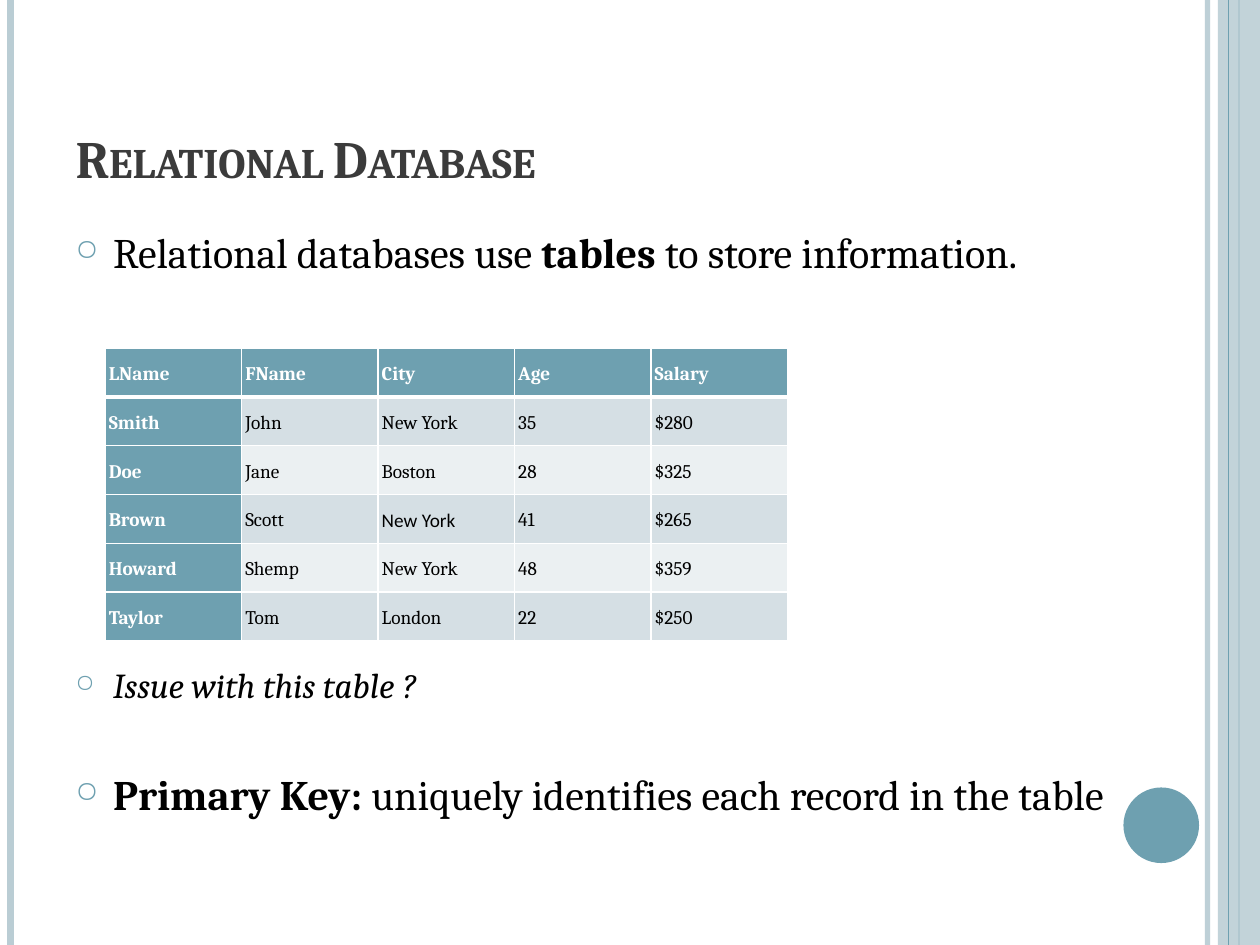
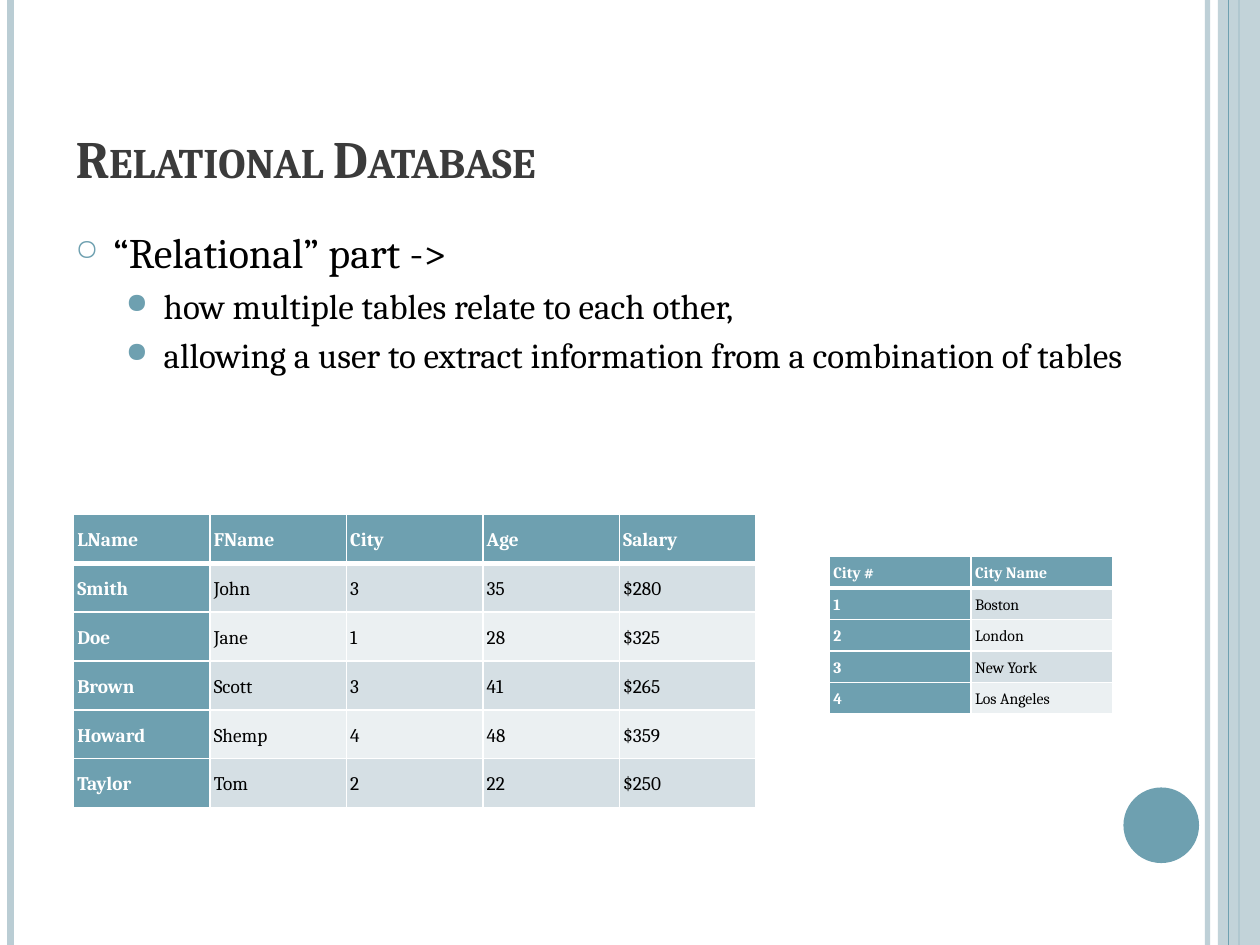
"""Builds two slides that introduce relational databases."""
from lxml import etree
from pptx import Presentation
from pptx import util as u
from pptx.dml import color
from pptx.enum import shapes, text
from pptx.oxml import ns

TEAL, PALE, DARK = "6EA0B0", "BACDD4", "3B3B3B"
WHITE, BLACK = "FFFFFF", "000000"
rgb = color.RGBColor.from_string


def write(par, words, size=24, hue=BLACK, bold=False, slant=False, face="Cambria", caps=None):
    """Add one formatted run to a paragraph."""
    run = par.add_run()
    run.text = words
    font = run.font
    font.name, font.size, font.bold, font.italic = face, u.Pt(size), bold, slant
    font.color.rgb = rgb(hue)
    if caps:
        run._r.get_or_add_rPr().set("cap", caps)


def sub(node, tag, **attrs):
    """Add an XML child with attributes."""
    child = etree.SubElement(node, ns.qn(tag))
    for key, value in attrs.items():
        child.set(key, str(value))
    return child


deck = Presentation()
deck.slide_width, deck.slide_height = u.Inches(10), u.Inches(7.5)
COL = deck.slide_width / 120
ROW = deck.slide_height / 90

# kind (None for a line), left, top, width, height, hue, line width, opacity
BANDS = [
    (None, 115, 0, 0, 90, PALE, 3, 93),
    (None, 1, 0, 0, 90, PALE, 4.5, 100),
    (None, 118, 0, 0, 90, TEAL, 1.5, 100),
    (shapes.MSO_SHAPE.RECTANGLE, 116, 0, 4, 90, PALE, 0, 87),
    (None, 117, 0, 0, 90, TEAL, 0.75, 100),
    (shapes.MSO_SHAPE.OVAL, 107, 75, 7.2, 7.2, TEAL, 0, 100),
]

# per level: left margin, bullet, bullet size
LEVELS = [(0.3, "○", 70), (0.7, "●", 80)]

STAFF = [
    ["LName", "FName", "City", "Age", "Salary"],
    ["Smith", "John", "New York", "35", "$280"],
    ["Doe", "Jane", "Boston", "28", "$325"],
    ["Brown", "Scott", "New York", "41", "$265"],
    ["Howard", "Shemp", "New York", "48", "$359"],
    ["Taylor", "Tom", "London", "22", "$250"],
]
KEYS = ["City", "3", "1", "3", "4", "2"]
KEYED = [row[:2] + [key] + row[3:] for row, key in zip(STAFF, KEYS)]
CITIES = [["City #", "City Name"], ["1", "Boston"], ["2", "London"],
          ["3", "New York"], ["4", "Los Angeles"]]

# points: level, size, space before, italic, [(words, bold)]
# grids: data, left, top, column width, row height, text size
PAGES = [
    {"wide": 107,
     "points": [
         (0, 24, 0, False, [("Relational databases use ", False), ("tables", True),
                            (" to store information.", False)]),
         (0, 20, 220.8, True, [("Issue with this table ?", False)]),
         (0, 24, 36, False, [("Primary Key: ", True),
                             ("uniquely identifies each record in the table", False)])],
     "grids": [(STAFF, 10, 33.15, 13, 4.65, 11)]},
    {"wide": 110,
     "points": [
         (0, 24, 0, False, [("“Relational” part ->", False)]),
         (1, 20, 4, False, [("how multiple tables relate to each other,", False)]),
         (1, 20, 4, False, [("allowing a user to extract information from "
                             "a combination of tables", False)])],
     "grids": [(KEYED, 7, 49, 13, 4.65, 11), (CITIES, 79, 53, 13.5, 3, 9)]},
]

for page in PAGES:
    slide = deck.slides.add_slide(deck.slide_layouts[5])

    for kind, left, top, wide, high, hue, thick, solid in BANDS:
        x, y, w, h = (int(v) for v in (left * COL, top * ROW, wide * COL, high * ROW))
        if kind is None:
            band = slide.shapes.add_connector(shapes.MSO_CONNECTOR.STRAIGHT, x, y, x + w, y + h)
            band.line.width = u.Pt(thick)
            band.line.color.rgb = rgb(hue)
            sub(band._element.spPr, "a:effectLst")
        else:
            band = slide.shapes.add_shape(kind, x, y, w, h)
            band.shadow.inherit = False
            band.fill.solid()
            band.fill.fore_color.rgb = rgb(hue)
            band.line.fill.background()
        if solid < 100:
            sub(band._element.xpath("./p:spPr//a:srgbClr")[0], "a:alpha", val=solid * 1000)

    title = slide.shapes.title
    title.left, title.top = int(6 * COL), int(3.6 * ROW)
    title.width, title.height = int(98 * COL), int(15 * ROW)
    title.text_frame.vertical_anchor = text.MSO_ANCHOR.BOTTOM
    head = title.text_frame.paragraphs[0]
    head.alignment = text.PP_ALIGN.LEFT
    write(head, "Relational Database", size=30, hue=DARK, bold=True, caps="small")

    body = slide.shapes.add_textbox(int(6 * COL), int(21 * ROW),
                                    int(page["wide"] * COL), int(64 * ROW)).text_frame
    body.word_wrap = True
    for i, (level, size, gap, slant, runs) in enumerate(page["points"]):
        par = body.add_paragraph() if i else body.paragraphs[0]
        margin, mark, scale = LEVELS[level]
        par.level = level
        par.space_before = u.Pt(gap)
        props = par._p.get_or_add_pPr()
        props.set("marL", str(u.Inches(margin)))
        props.set("indent", str(u.Inches(-0.3)))
        sub(sub(props, "a:buClr"), "a:srgbClr", val=TEAL)
        sub(props, "a:buSzPct", val=scale * 1000)
        sub(props, "a:buChar", char=mark)
        for words, bold in runs:
            write(par, words, size=size, bold=bold, slant=slant)

    for data, left, top, wide, high, size in page["grids"]:
        rows, cols = len(data), len(data[0])
        grid = slide.shapes.add_table(rows, cols, int(left * COL), int(top * ROW),
                                      int(cols * wide * COL), int(rows * high * ROW)).table
        grid.first_col = True
        for col in grid.columns:
            col.width = int(wide * COL)
        for r, line in enumerate(data):
            grid.rows[r].height = int(high * ROW)
            for c, value in enumerate(line):
                cell = grid.cell(r, c)
                key = r == 0 or c == 0
                cell.margin_left = cell.margin_right = u.Inches(0.03)
                cell.margin_top = cell.margin_bottom = u.Inches(0.03)
                cell.vertical_anchor = text.MSO_ANCHOR.MIDDLE
                for side in "LRTB":
                    thick = 3 if (r, side) in ((0, "B"), (1, "T")) else 1
                    edge = sub(cell._tc.get_or_add_tcPr(), "a:ln" + side, w=u.Pt(thick))
                    sub(sub(edge, "a:solidFill"), "a:srgbClr", val=WHITE)
                cell.fill.solid()
                cell.fill.fore_color.rgb = rgb(TEAL if key else "D5DFE4" if r % 2 else "EBF0F2")
                par = cell.text_frame.paragraphs[0]
                par.line_spacing = 1.15
                odd = (line[0], value) == ("Brown", "New York")
                write(par, value, size=size, hue=WHITE if key else BLACK, bold=key,
                      face="Calibri" if odd else "Cambria")

deck.save("out.pptx")
